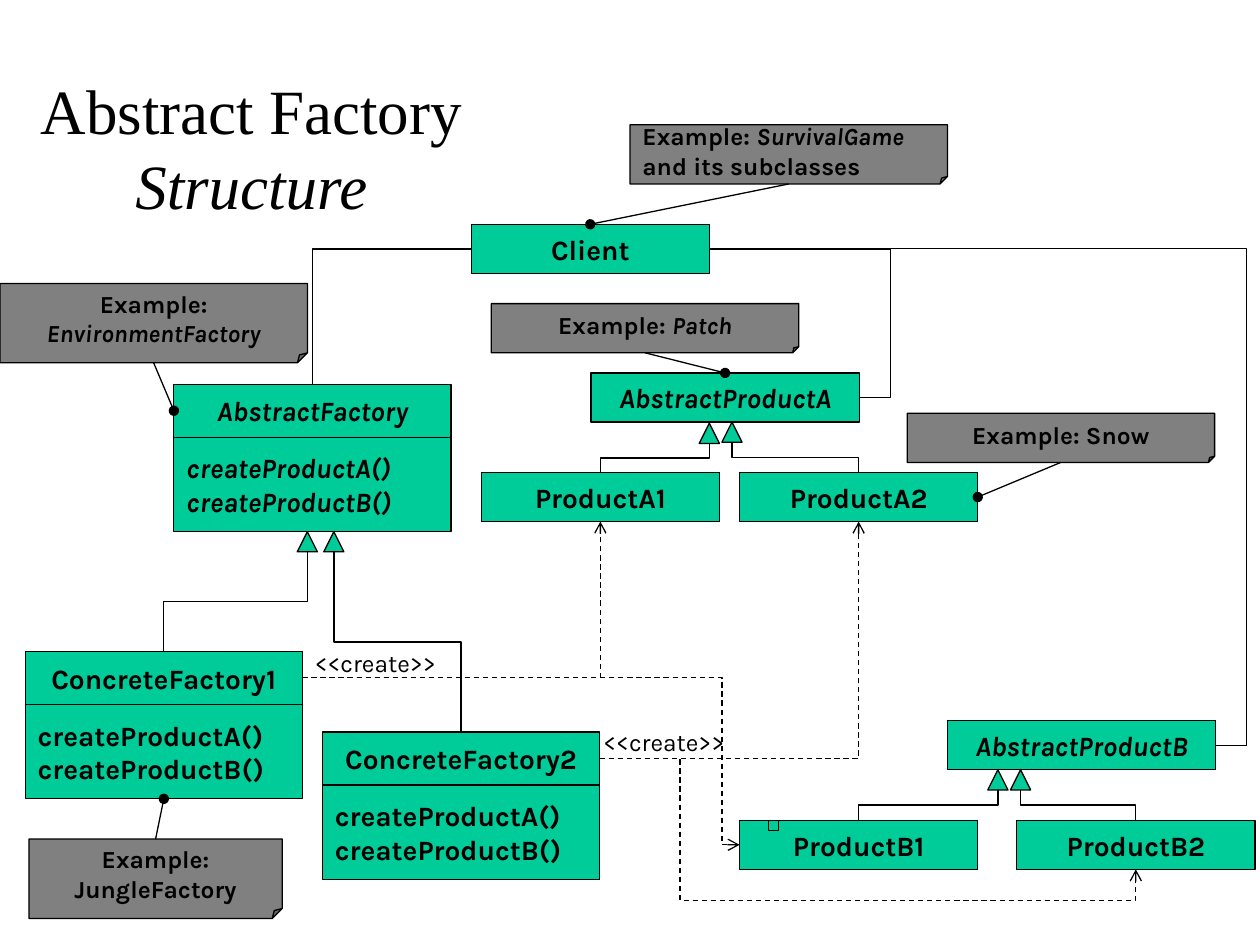
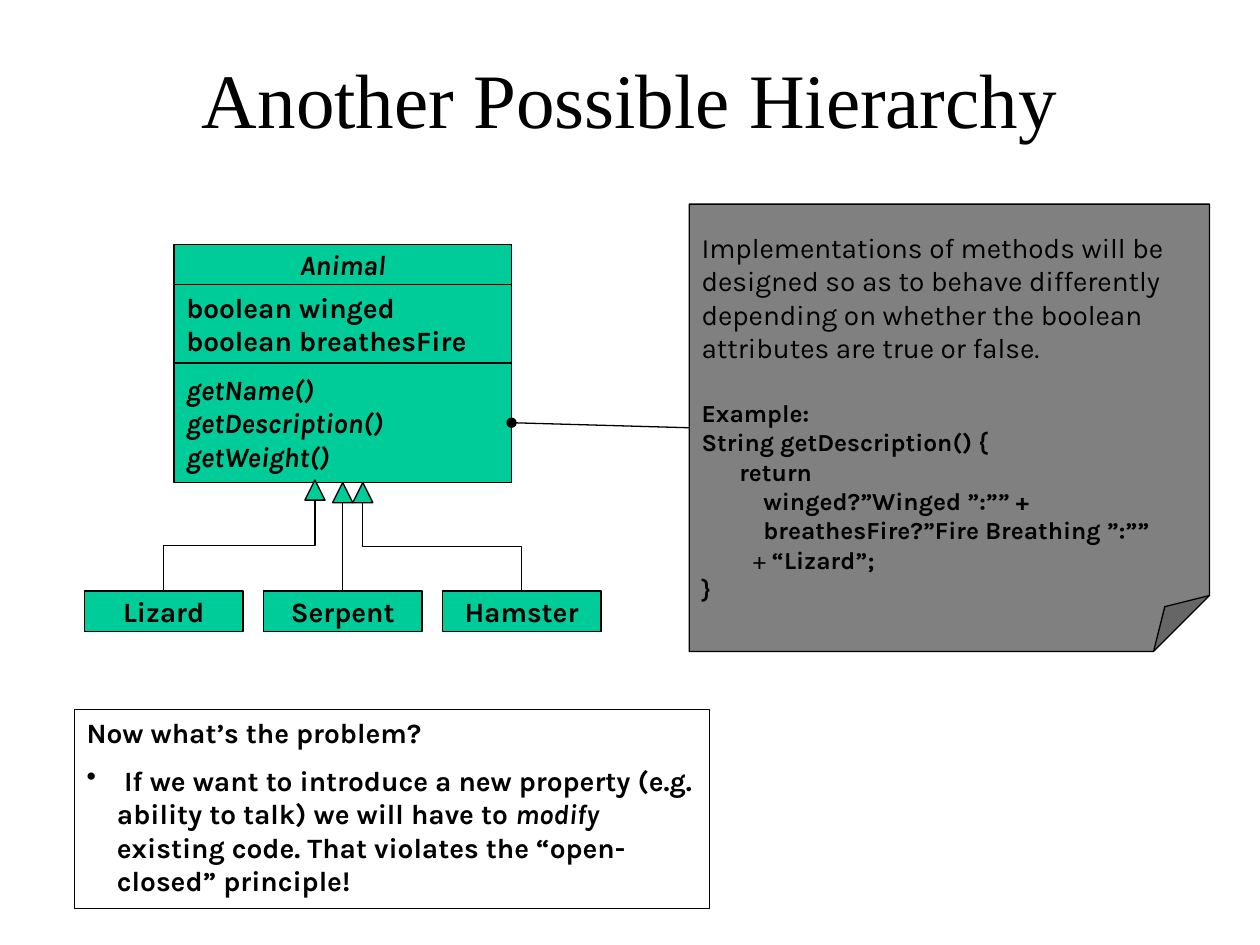
"""Build two slides of class diagrams about the Abstract Factory pattern."""
from lxml.etree import SubElement
from pptx import Presentation
from pptx.dml.color import RGBColor
from pptx.enum.dml import MSO_LINE
from pptx.enum.shapes import MSO_CONNECTOR as CONNECTOR, MSO_SHAPE as SHAPE
from pptx.enum.text import MSO_ANCHOR as ANCHOR, MSO_AUTO_SIZE, PP_ALIGN as ALIGN
from pptx.oxml.ns import qn
from pptx.util import Inches, Pt

COLORS = {"ink": "000000", "class": "00CC99", "note": "808080", "paper": "FFFFFF"}
BODY_FONT, TITLE_FONT = "Karla", "Times New Roman"
TOP, LEFT, BOTTOM, RIGHT = range(4)
TRIANGLE_BASE = 3
LINE_WIDTH = Pt(0.75)
TITLE_ONLY = 5
BOX_HEIGHT = 0.39


def color(name):
    return RGBColor.from_string(COLORS[name])


def set_font(font, size, name=BODY_FONT, bold=None, italic=None):
    font.name, font.size = name, Pt(size)
    font.bold, font.italic = bold, italic
    font.color.rgb = color("ink")


def write_lines(frame, lines, size, align=ALIGN.LEFT, bold=True, italic=None):
    """Write one paragraph per line; a line is a string or (text, italic) pairs."""
    for number, line in enumerate(lines):
        paragraph = frame.add_paragraph() if number else frame.paragraphs[0]
        paragraph.alignment = align
        set_font(paragraph.font, size, bold=bold, italic=italic)
        for text, slanted in [(line, None)] if isinstance(line, str) else line:
            run = paragraph.add_run()
            run.text = text
            if slanted is not None:
                run.font.italic = slanted
    return frame.paragraphs


def set_indent(paragraph, margin, first_line=0):
    properties = paragraph._p.get_or_add_pPr()
    properties.set("marL", str(Inches(margin)))
    properties.set("indent", str(Inches(first_line)))
    return properties


def add_title(presentation, lines, box, size):
    slide = presentation.slides.add_slide(presentation.slide_layouts[TITLE_ONLY])
    title = slide.shapes.title
    title.left, title.top, title.width, title.height = map(Inches, box)
    frame = title.text_frame
    frame.word_wrap, frame.auto_size = True, MSO_AUTO_SIZE.NONE
    frame.vertical_anchor = ANCHOR.MIDDLE
    paragraph = frame.paragraphs[0]
    paragraph.alignment = ALIGN.CENTER
    set_font(paragraph.font, size, TITLE_FONT)
    for number, (text, italic) in enumerate(lines):
        if number:
            paragraph.add_line_break()
        run = paragraph.add_run()
        run.text = text
        set_font(run.font, size, TITLE_FONT, italic=italic)
    return slide


def set_geometry(shape, adjustments, preset=None):
    """Give a shape its adjust values, as named by number or alone as adj."""
    geometry = shape._element.spPr.find(qn("a:prstGeom"))
    if preset:
        geometry.set("prst", preset)
    for name, value in adjustments.items():
        SubElement(geometry.find(qn("a:avLst")), qn("a:gd"),
                   name=name, fmla=f"val {round(value * 100000)}")


def add_block(slide, kind, box, fill):
    shape = slide.shapes.add_shape(kind, *map(Inches, box))
    shape.shadow.inherit = False
    shape.fill.solid()
    shape.fill.fore_color.rgb = color(fill)
    shape.line.color.rgb = color("ink")
    shape.line.width = LINE_WIDTH
    shape.text_frame.word_wrap = False
    shape.text_frame.vertical_anchor = ANCHOR.MIDDLE
    return shape


def add_class(slide, box, lines, italic=None, align=ALIGN.CENTER):
    shape = add_block(slide, SHAPE.RECTANGLE, box, "class")
    write_lines(shape.text_frame, lines, 16, align, italic=italic)
    return shape


def add_compartments(slide, left, top, width, parts):
    """Stack a centred class name over left-aligned member lists."""
    shapes = []
    for height, lines, italic in parts:
        align = ALIGN.LEFT if shapes else ALIGN.CENTER
        shapes.append(add_class(slide, (left, top, width, height), lines, italic, align))
        top += height
    return shapes


def add_factory(slide, left, top, name, italic=None):
    methods = ["createProductA()", "createProductB()"]
    parts = [(0.42, [name], italic), (0.75, methods, italic)]
    return add_compartments(slide, left, top, 2.2, parts)


def add_note(slide, box, lines, align=ALIGN.CENTER):
    shape = add_block(slide, SHAPE.FOLDED_CORNER, box, "note")
    set_geometry(shape, {"adj": 0.125})
    write_lines(shape.text_frame, lines, 14, align)
    return shape


def add_triangle(slide, center, top):
    size = 0.16
    box = (center - size / 2, top, size, size)
    return add_block(slide, SHAPE.ISOSCELES_TRIANGLE, box, "class")


def add_label(slide, left, top, text):
    frame = slide.shapes.add_textbox(*map(Inches, (left, top, 1.34, 0.33))).text_frame
    frame.word_wrap = True
    write_lines(frame, [text], 14, bold=None)


def side_middle(shape, side):
    x = {LEFT: 0, RIGHT: shape.width}.get(side, shape.width // 2)
    y = {TOP: 0, BOTTOM: shape.height}.get(side, shape.height // 2)
    return shape.left + x, shape.top + y


def style_connector(connector, dashed=False, head=None, tail=None):
    connector.line.color.rgb = color("ink")
    connector.line.width = LINE_WIDTH
    if dashed:
        connector.line.dash_style = MSO_LINE.DASH
    properties = connector._element.spPr
    outline = properties.find(qn("a:ln"))
    for tag, kind in (("a:headEnd", head), ("a:tailEnd", tail)):
        if kind:
            SubElement(outline, qn(tag), type=kind)
    SubElement(properties, qn("a:effectLst"))


def add_callout(slide, target, target_side, note, note_side):
    """Tie a note to its class with a line that starts in a dot."""
    line = slide.shapes.add_connector(CONNECTOR.STRAIGHT, 0, 0, 0, 0)
    line.begin_connect(target, target_side)
    line.end_connect(note, note_side)
    style_connector(line, head="oval")


def add_elbow(slide, start, start_side, end, end_side, bends=(), corner=False, creates=False):
    """Join two classes by an elbow that leaves the first one sideways."""
    connector = slide.shapes.add_connector(CONNECTOR.ELBOW, 0, 0, 0, 0)
    connector.begin_connect(start, start_side)
    connector.end_connect(end, end_side)
    adjustments = {f"adj{number}": bend for number, bend in enumerate(bends, 1)}
    set_geometry(connector, adjustments, f"bentConnector{2 if corner else len(bends) + 2}")
    style_connector(connector, dashed=creates, tail="arrow" if creates else None)


def add_inheritance(slide, triangle, child):
    """Join a triangle's base to a child's top, turning a sideways elbow upright."""
    connector = slide.shapes.add_connector(CONNECTOR.ELBOW, 0, 0, 0, 0)
    connector.begin_connect(triangle, TRIANGLE_BASE)
    connector.end_connect(child, TOP)
    (x1, y1), (x2, y2) = side_middle(triangle, BOTTOM), side_middle(child, TOP)
    x, y = (x1 + x2) // 2, (y1 + y2) // 2
    across, down = (x2 - x1) // 2, (y2 - y1) // 2
    connector.begin_x, connector.begin_y = x - down, y + across
    connector.end_x, connector.end_y = x + down, y - across
    connector._element.spPr.find(qn("a:xfrm")).set("rot", str(90 * 60000))
    set_geometry(connector, {"adj1": 0.5})
    style_connector(connector)


def build_structure(presentation):
    slide = add_title(presentation, [("Abstract Factory", None), ("Structure", True)],
                      (-0.67, 0.5, 5.33, 1.33), 36)

    abstract_factory, _ = add_factory(slide, 1.38, 3.05, "AbstractFactory", True)
    factory1, factory1_methods = add_factory(slide, 0.2, 5.17, "ConcreteFactory1")
    factory2, _ = add_factory(slide, 2.56, 5.81, "ConcreteFactory2")
    names = {
        "Client": (3.74, 1.78), "ProductA1": (3.82, 3.75), "ProductA2": (5.87, 3.75),
        "ProductB1": (5.87, 6.51), "ProductB2": (8.07, 6.51),
        "AbstractProductA": (4.69, 2.96), "AbstractProductB": (7.52, 5.72),
    }
    classes = {}
    for name, (left, top) in names.items():
        abstract = name.startswith("Abstract")
        box = (left, top, 2.13 if abstract else 1.89, BOX_HEIGHT)
        classes[name] = add_class(slide, box, [name], abstract)
    client = classes["Client"]
    product_a, product_b = classes["AbstractProductA"], classes["AbstractProductB"]

    for center, top, child in (
        (2.44, 4.22, factory1), (2.65, 4.22, factory2),
        (5.63, 3.36, classes["ProductA1"]), (5.81, 3.35, classes["ProductA2"]),
        (7.92, 6.11, classes["ProductB1"]), (8.1, 6.11, classes["ProductB2"]),
    ):
        add_inheritance(slide, add_triangle(slide, center, top), child)

    add_elbow(slide, client, LEFT, abstract_factory, TOP, corner=True)
    add_elbow(slide, client, RIGHT, product_a, RIGHT, [1.21])
    add_elbow(slide, client, RIGHT, product_b, RIGHT, [1.06])
    add_elbow(slide, factory2, RIGHT, classes["ProductB2"], BOTTOM, [0.15, 1.28], creates=True)
    add_elbow(slide, factory2, RIGHT, classes["ProductA2"], BOTTOM, corner=True, creates=True)
    add_elbow(slide, factory1, RIGHT, classes["ProductA1"], BOTTOM, corner=True, creates=True)
    add_elbow(slide, factory1, RIGHT, classes["ProductB1"], LEFT, [0.96], creates=True)
    add_block(slide, SHAPE.RECTANGLE, (6.1, 6.51, 0.08, 0.08), "class")
    for left, top in ((2.4, 5.09), (4.69, 5.72)):
        add_label(slide, left, top, "<<create>>")

    game_lines = [[("Example: ", None), ("SurvivalGame", True)], "and its subclasses"]
    game = add_note(slide, (5, 0.99, 2.52, 0.47), game_lines, ALIGN.LEFT)
    environment = add_note(slide, (0, 2.25, 2.44, 0.63),
                           ["Example:", [("EnvironmentFactory", True)]])
    jungle = add_note(slide, (0.23, 6.66, 2.01, 0.63), ["Example:", "JungleFactory"])
    patch = add_note(slide, (3.9, 2.41, 2.44, BOX_HEIGHT),
                     [[("Example: ", None), ("Patch", True)]])
    snow = add_note(slide, (7.2, 3.28, 2.44, BOX_HEIGHT), ["Example: Snow"])
    add_callout(slide, client, TOP, game, BOTTOM)
    add_callout(slide, abstract_factory, LEFT, environment, BOTTOM)
    add_callout(slide, factory1_methods, BOTTOM, jungle, TOP)
    add_callout(slide, product_a, TOP, patch, BOTTOM)
    add_callout(slide, classes["ProductA2"], RIGHT, snow, BOTTOM)


def add_code_note(slide):
    note = add_note(slide, (5.47, 1.62, 4.13, 3.55), [
        "Implementations of methods will be designed so as to behave differently "
        "depending on whether the boolean attributes are true or false.",
        "Example:", "String getDescription() {", "return", "winged?”Winged ”:”” +",
        "breathesFire?”Fire Breathing ”:””", [("+ ", None), ("“Lizard”;", None)], "}",
    ], ALIGN.LEFT)
    frame = note.text_frame
    frame.word_wrap = True
    frame.margin_top = Inches(0.32)
    paragraphs = frame.paragraphs
    set_font(paragraphs[0].font, 16)
    paragraphs[1].space_before = Pt(19)
    for paragraph, margin in zip(paragraphs[3:7], (0.3, 0.49, 0.49, 0.41)):
        set_indent(paragraph, margin)
    paragraphs[6].runs[0].font.bold = False
    return note


def add_problem(slide):
    problem = add_block(slide, SHAPE.RECTANGLE, (0.59, 5.63, 5.04, 1.58), "paper")
    frame = problem.text_frame
    frame.word_wrap, frame.vertical_anchor = True, ANCHOR.TOP
    _, answer = write_lines(frame, ["Now what’s the problem?", [
        (" If we want to introduce a new property (e.g. ability to talk) we will have to ", None),
        ("modify", True),
        (" existing code. That violates the “open-closed” principle!", None),
    ]], 16)
    answer.space_before = Pt(8)
    properties = set_indent(answer, 0.24, -0.24)
    bullet = properties.makeelement(qn("a:buChar"), {"char": "•"})
    properties.find(qn("a:defRPr")).addprevious(bullet)


def build_hierarchy(presentation):
    slide = add_title(presentation, [("Another Possible Hierarchy", None)],
                      (0.5, 0.3, 9, 1.25), 44)
    slide.shapes.title.text_frame.margin_bottom = Inches(0.35)

    *_, methods = add_compartments(slide, 1.38, 1.94, 2.68, [
        (0.32, ["Animal"], True),
        (0.62, ["boolean winged", "boolean breathesFire"], None),
        (0.95, ["getName()", "getDescription()", "getWeight()"], True),
    ])
    lizard, serpent, hamster = [
        add_class(slide, (0.67 + 1.42 * column, 4.69, 1.26, 0.32), [name])
        for column, name in enumerate(["Lizard", "Serpent", "Hamster"])]
    add_inheritance(slide, add_triangle(slide, 2.5, 3.81), lizard)
    add_inheritance(slide, add_triangle(slide, 2.88, 3.83), hamster)
    triangle = add_triangle(slide, 2.72, 3.83)
    start = side_middle(triangle, BOTTOM)
    line = slide.shapes.add_connector(CONNECTOR.STRAIGHT, *start, *start)
    line.end_connect(serpent, TOP)
    style_connector(line)

    add_problem(slide)
    add_callout(slide, methods, RIGHT, add_code_note(slide), LEFT)


def main():
    presentation = Presentation()
    presentation.slide_width, presentation.slide_height = Inches(10), Inches(7.5)
    build_structure(presentation)
    build_hierarchy(presentation)
    presentation.save("out.pptx")


if __name__ == "__main__":
    main()
